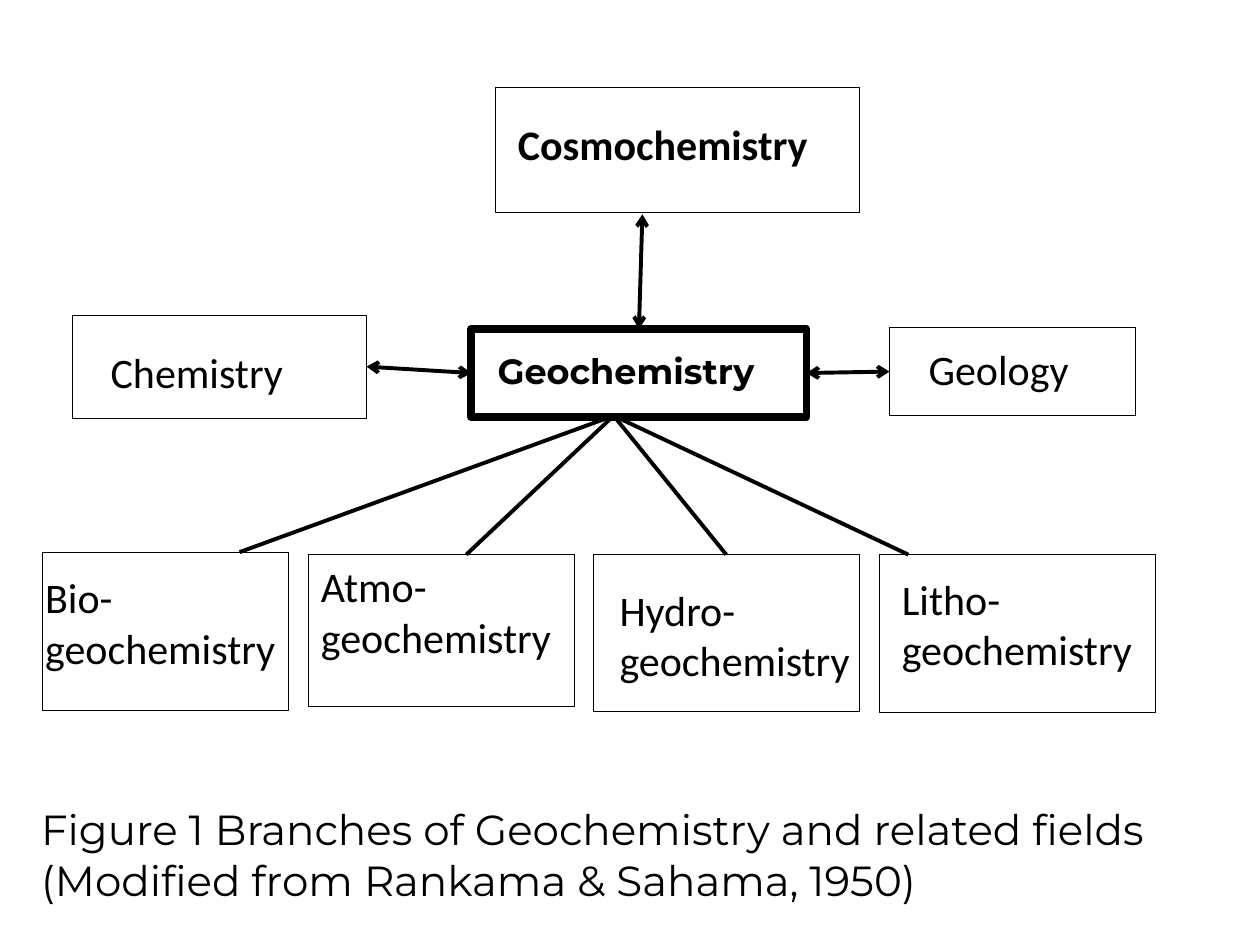
from lxml.etree import SubElement
from pptx import Presentation
from pptx.dml.color import RGBColor
from pptx.enum.shapes import MSO_CONNECTOR as CONN, MSO_SHAPE as SHAPE
from pptx.oxml.ns import qn
from pptx.util import Cm, Pt

BLACK = "000000"
TOP, LEFT, BOTTOM, RIGHT = range(4)

# name: (frame, line width, label box, paragraphs, font format)
PLAIN = dict(name="Calibri", size=Pt(24), bold=False)
BOLD = dict(PLAIN, bold=True)
HUB = dict(name="Montserrat", size=Pt(20), bold=True)
CAPTION = dict(PLAIN, name="Montserrat")
FIELDS = {
    "geochemistry": ((9.5, 6.63, 6.76, 1.78), 4.5, (9.78, 6.93, 6.15, 1.12),
                     ["Geochemistry"], HUB),
    "cosmo": ((9.98, 1.75, 7.34, 2.54), 0.25, (10.19, 2.26, 6.76, 1.65),
              ["Cosmochemistry"], BOLD),
    "chemistry": ((1.45, 6.35, 5.94, 2.08), 0.25, (1.98, 6.86, 4.93, 3.05),
                  ["Chemistry"], PLAIN),
    "geology": ((17.93, 6.6, 4.95, 1.78), 0.25, (18.47, 6.81, 3.86, 2.57),
                ["Geology"], PLAIN),
    "litho": ((17.73, 11.18, 5.56, 3.18), 0.25, (17.93, 11.43, 7.14, 2.64),
              ["Litho-", "geochemistry"], PLAIN),
    "hydro": ((11.96, 11.18, 5.36, 3.15), 0.25, (12.24, 11.66, 5.69, 2.82),
              ["Hydro-geochemistry"], PLAIN),
    "atmo": ((6.22, 11.18, 5.36, 3.05), 0.25, (6.22, 11.18, 6.58, 2.77),
             ["Atmo-", "geochemistry"], PLAIN),
    "bio": ((0.86, 11.13, 4.95, 3.18), 0.25, (0.66, 11.4, 5.36, 2.31),
            ["Bio-", "geochemistry"], PLAIN),
}


def color(value):
    return RGBColor.from_string(value)


def add_text(s, box, lines, fmt):
    tf = s.shapes.add_textbox(*map(Cm, box)).text_frame
    tf.word_wrap = True
    for i, line in enumerate(lines):
        p = tf.paragraphs[0] if i == 0 else tf.add_paragraph()
        r = p.add_run()
        r.text = line
        r.font.color.rgb = color(BLACK)
        for key, value in fmt.items():
            setattr(r.font, key, value)


def add_frame(s, box, width):
    sp = s.shapes.add_shape(SHAPE.RECTANGLE, *map(Cm, box))
    sp.shadow.inherit = False
    sp.fill.background()
    sp.line.color.rgb = color(BLACK)
    sp.line.width = Pt(width)
    return sp


def add_line(s, start, end, arrows=False):
    c = s.shapes.add_connector(CONN.STRAIGHT, *map(Cm, start + end))
    c.line.color.rgb = color(BLACK)
    c.line.width = Pt(2.25)
    if arrows:
        ln = c.line._get_or_add_ln()
        for tag in ("a:headEnd", "a:tailEnd"):
            SubElement(ln, qn(tag), type="arrow")
    SubElement(c._element.spPr, qn("a:effectLst"))
    return c


def main():
    prs = Presentation()
    prs.slide_width, prs.slide_height = Cm(25.4), Cm(19.05)
    s = prs.slides.add_slide(prs.slide_layouts[6])

    # Fields: label and frame
    frames = {}
    for name, (frame, width, label, lines, fmt) in FIELDS.items():
        add_text(s, label, lines, fmt)
        frames[name] = add_frame(s, frame, width)
    hub = frames["geochemistry"]

    # Branches below the hub
    fork = (12.37, 8.38)
    add_line(s, fork, (4.83, 11.13))
    add_line(s, fork, (9.4, 11.18))
    add_line(s, fork, (14.64, 11.18)).end_connect(frames["hydro"], TOP)
    add_line(s, fork, (18.31, 11.18))

    # Two-way links to related fields
    link = add_line(s, (12.88, 6.63), (12.95, 4.32), arrows=True)
    link.begin_connect(hub, TOP)
    for name, start, end, hub_side, side in (
            ("chemistry", (9.5, 7.52), (7.39, 7.39), LEFT, RIGHT),
            ("geology", (16.26, 7.52), (17.93, 7.49), RIGHT, LEFT)):
        link = add_line(s, start, end, arrows=True)
        link.begin_connect(hub, hub_side)
        link.end_connect(frames[name], side)

    # Caption
    add_text(s, (0.58, 16.08, 24.21, 2.31),
             ["Figure 1 Branches of Geochemistry and related fields "
              "(Modified from Rankama & Sahama, 1950)"], CAPTION)
    prs.save("out.pptx")


if __name__ == "__main__":
    main()
